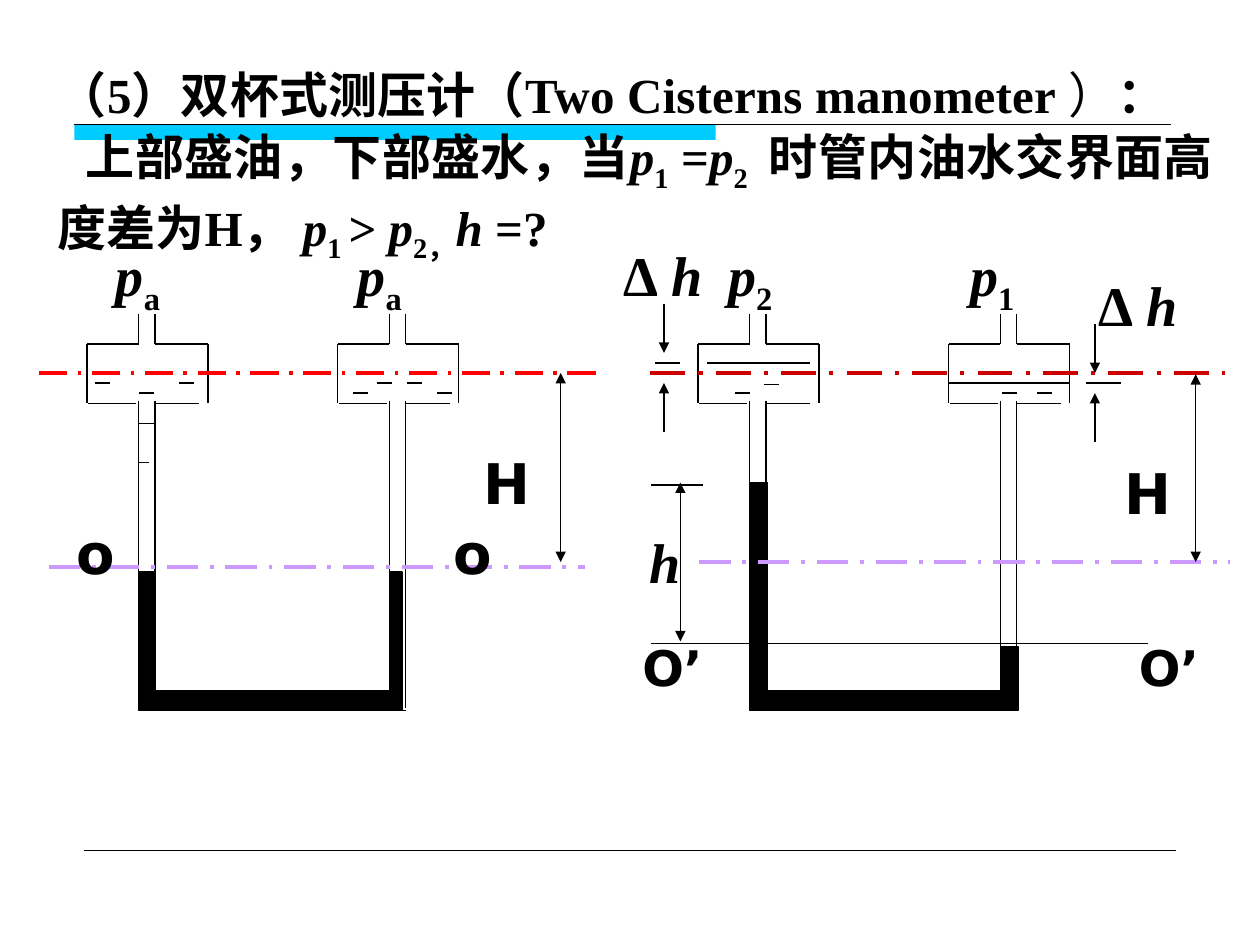
from lxml import etree
from pptx import Presentation
from pptx.dml.color import RGBColor
from pptx.enum.dml import MSO_LINE
from pptx.enum.shapes import MSO_CONNECTOR, MSO_SHAPE
from pptx.enum.text import MSO_ANCHOR, PP_ALIGN
from pptx.oxml.ns import qn
from pptx.util import Inches, Pt

STRAIGHT = MSO_CONNECTOR.STRAIGHT
RECTANGLE = MSO_SHAPE.RECTANGLE
DASH_DOT = MSO_LINE.LONG_DASH_DOT
SERIF, SANS = "Times New Roman", "DejaVu Sans"
color = RGBColor.from_string


def draw_line(shapes, x1, y1, x2, y2, hex_color="000000", width=0.75, dash=None, heads=()):
    connector = shapes.add_connector(STRAIGHT, Inches(x1), Inches(y1), Inches(x2), Inches(y2))
    connector.line.color.rgb = color(hex_color)
    connector.line.width = Pt(width)
    if dash:
        connector.line.dash_style = dash
    for end in heads:
        etree.SubElement(connector.get_or_add_ln(), qn(f"a:{end}End"), type="triangle")
    etree.SubElement(connector.element.spPr, qn("a:effectLst"))


def write_runs(paragraph, runs, font_name, size):
    paragraph.font.name = font_name
    paragraph.font.size = Pt(size)
    paragraph.font.bold = True
    paragraph.font.color.rgb = color("000000")
    for text, style in runs:
        run = paragraph.add_run()
        run.text = text
        if style == "italic":
            run.font.italic = True
        elif style == "regular":
            run.font.bold = False
        elif style == "subscript":
            run.font._element.set("baseline", "-25000")


presentation = Presentation()
presentation.slide_width = Inches(10)
presentation.slide_height = Inches(7.5)
slide = presentation.slides.add_slide(presentation.slide_layouts[1])
title, body = slide.placeholders
title.element.getparent().remove(title.element)

bar = slide.shapes.add_shape(RECTANGLE, Inches(0.59), Inches(0.99), Inches(5.09), Inches(0.12))
bar.shadow.inherit = False
bar.fill.solid()
bar.fill.fore_color.rgb = color("00CCFF")
bar.line.fill.background()
draw_line(slide.shapes, 0.59, 0.99, 9.29, 0.99)
draw_line(slide.shapes, 0.67, 6.75, 9.33, 6.75, width=0.25)

slide.shapes.element.append(body.element)
body.left, body.top = Inches(0.36), Inches(0.44)
body.width, body.height = Inches(9.37), Inches(1.89)
body.text_frame.vertical_anchor = MSO_ANCHOR.TOP
heading = [
    ("（5）双杯式测压计（Two Cisterns manometer ", ""), ("）", "regular"), ("：", ""),
]
question = [
    ("上部盛油，下部盛水，当", ""), ("p", "italic"), ("1", "subscript"), (" =", ""),
    ("p", "italic"), ("2 ", "subscript"), (" 时管内油水交界面高度差为H， ", ""),
    ("p", "italic"), ("1 ", "subscript"), ("> ", ""), ("p", "italic"),
    ("2，", "subscript"), ("h ", "italic"), ("=?", ""),
]
paragraphs = [body.text_frame.paragraphs[0], body.text_frame.add_paragraph()]
for paragraph, runs, indent in zip(paragraphs, (heading, question), (0, 0.22)):
    paragraph.alignment = PP_ALIGN.JUSTIFY
    paragraph.line_spacing = 1.05
    paragraph.space_before = Pt(0)
    properties = paragraph._p.get_or_add_pPr()
    properties.set("marL", "0")
    properties.set("indent", str(Inches(indent)))
    etree.SubElement(properties, qn("a:buNone"))
    write_runs(paragraph, runs, SERIF, 28)
for run in paragraphs[0].runs:
    run.font._element.set("spc", "14")

BORE, SPAN = 0.13, 1.99
CUP_TOP, CUP_BOTTOM = 2.73, 3.2
cup_lines = [
    (-0.02, CUP_BOTTOM, -0.4, CUP_BOTTOM), (-0.41, CUP_BOTTOM, -0.41, CUP_TOP),
    (-0.41, CUP_TOP, 0, CUP_TOP), (0, CUP_TOP, 0, 2.49),
    (BORE, CUP_BOTTOM, 0.48, CUP_BOTTOM), (BORE, 2.49, BORE, CUP_TOP),
    (BORE, CUP_TOP, 0.55, CUP_TOP), (0.55, CUP_TOP, 0.55, CUP_BOTTOM),
]
both = ("head", "tail")
pressure_a = [("p", "italic"), ("a", "subscript")]
delta_h = [("∆ ", ""), ("h", "italic")]

rest = {
    "tube": 1.1,
    "liquid": [(1.1, 4.54, 0.12, 1.1), (3.09, 4.54, 0.1, 1.1), (1.23, 5.48, 1.85, 0.16)],
    "levels": [(0.31, 4.75, 2.96, "FF0000", 2), (0.39, 4.64, 4.5, "CC99FF", 2.25)],
    "marks": [(1.1, 1.18, 3.67)],
    "arrows": [(4.45, 2.96, 4.46, both)],
    "dashes": [
        (0.75, 3.04), (1.1, 3.12), (1.42, 3.04), (1.1, 3.36),
        (2.8, 3.12), (3.23, 3.04), (2.99, 3.04), (3.47, 3.12),
    ],
    "labels": [
        (0.82, 1.86, 0.89, 0.71, pressure_a, SERIF, 32),
        (2.74, 1.86, 0.89, 0.71, pressure_a, SERIF, 32),
        (0.51, 4.07, 0.9, 0.64, [("o", "")], SANS, 32),
        (3.5, 4.07, 0.9, 0.64, [("o", "")], SANS, 32),
        (3.74, 3.51, 0.48, 0.64, [("H", "")], SANS, 32),
    ],
}
loaded = {
    "tube": 5.95,
    "liquid": [(5.95, 3.83, 0.14, 1.81), (7.94, 5.13, 0.14, 0.51), (6.09, 5.48, 1.85, 0.16)],
    "levels": [(5.16, 9.72, 2.96, "CC0000", 2.5), (5.55, 9.76, 4.46, "CC99FF", 2.25)],
    "marks": [
        (5.61, 6.43, 2.88), (7.53, 8.49, 3.04), (5.2, 5.4, 2.88),
        (8.62, 8.9, 3.04), (9.11, 5.17, 5.11), (5.58, 5.17, 3.85),
    ],
    "arrows": [
        (5.27, 2.41, 2.8, ("tail",)), (5.27, 3.43, 3.04, ("tail",)),
        (8.69, 3.12, 3.51, ("head",)), (8.69, 2.57, 2.96, ("tail",)),
        (9.49, 2.97, 4.46, both), (5.4, 3.83, 5.09, both),
    ],
    "dashes": [(5.83, 3.12), (6.06, 3.05), (7.95, 3.12), (8.23, 3.12)],
    "labels": [
        (8.83, 3.59, 0.48, 0.64, [("H", "")], SANS, 32),
        (5.06, 4.14, 0.34, 0.64, [("h", "italic")], SERIF, 32),
        (8.62, 2.1, 1.03, 0.64, delta_h, SERIF, 32),
        (4.85, 1.86, 1.03, 0.64, delta_h, SERIF, 32),
        (5.68, 1.86, 0.89, 0.71, [("p", "italic"), ("2", "subscript")], SERIF, 32),
        (7.6, 1.86, 0.89, 0.71, [("p", "italic"), ("1", "subscript")], SERIF, 32),
        (8.94, 5.01, 0.71, 0.57, [("O’", "")], SANS, 28),
        (5, 5.01, 0.83, 0.57, [("O’", "")], SANS, 28),
    ],
}

for manometer in (rest, loaded):
    shapes = slide.shapes.add_group_shape().shapes
    left = manometer["tube"]
    right = left + SPAN
    for x, bottom in ((left, 5.62), (left + BORE, 5.48), (right, 5.48), (right + BORE, 5.62)):
        draw_line(shapes, x, 3.18, x, bottom)
    draw_line(shapes, left + BORE, 5.48, right, 5.48)
    draw_line(shapes, left, 5.64, right + BORE, 5.64)
    for x in (left, right):
        for x1, y1, x2, y2 in cup_lines:
            draw_line(shapes, x + x1, y1, x + x2, y2)
    for box in manometer["liquid"]:
        liquid = shapes.add_shape(RECTANGLE, *map(Inches, box))
        liquid.shadow.inherit = False
        liquid.fill.solid()
        liquid.fill.fore_color.rgb = color("000000")
        liquid.line.color.rgb = color("000000")
        liquid.line.width = Pt(0.75)
    for x1, x2, y, hex_color, width in manometer["levels"]:
        draw_line(shapes, x1, y, x2, y, hex_color, width, DASH_DOT)
    for x1, x2, y in manometer["marks"]:
        draw_line(shapes, x1, y, x2, y)
    for x, y1, y2, heads in manometer["arrows"]:
        draw_line(shapes, x, y1, x, y2, heads=heads)
    for x, y in manometer["dashes"]:
        draw_line(shapes, x, y, x + 0.12, y)
    for x, y, width, height, runs, font_name, size in manometer["labels"]:
        label = shapes.add_textbox(Inches(x), Inches(y), Inches(width), Inches(height))
        label.text_frame.word_wrap = True
        write_runs(label.text_frame.paragraphs[0], runs, font_name, size)

presentation.save("out.pptx")
